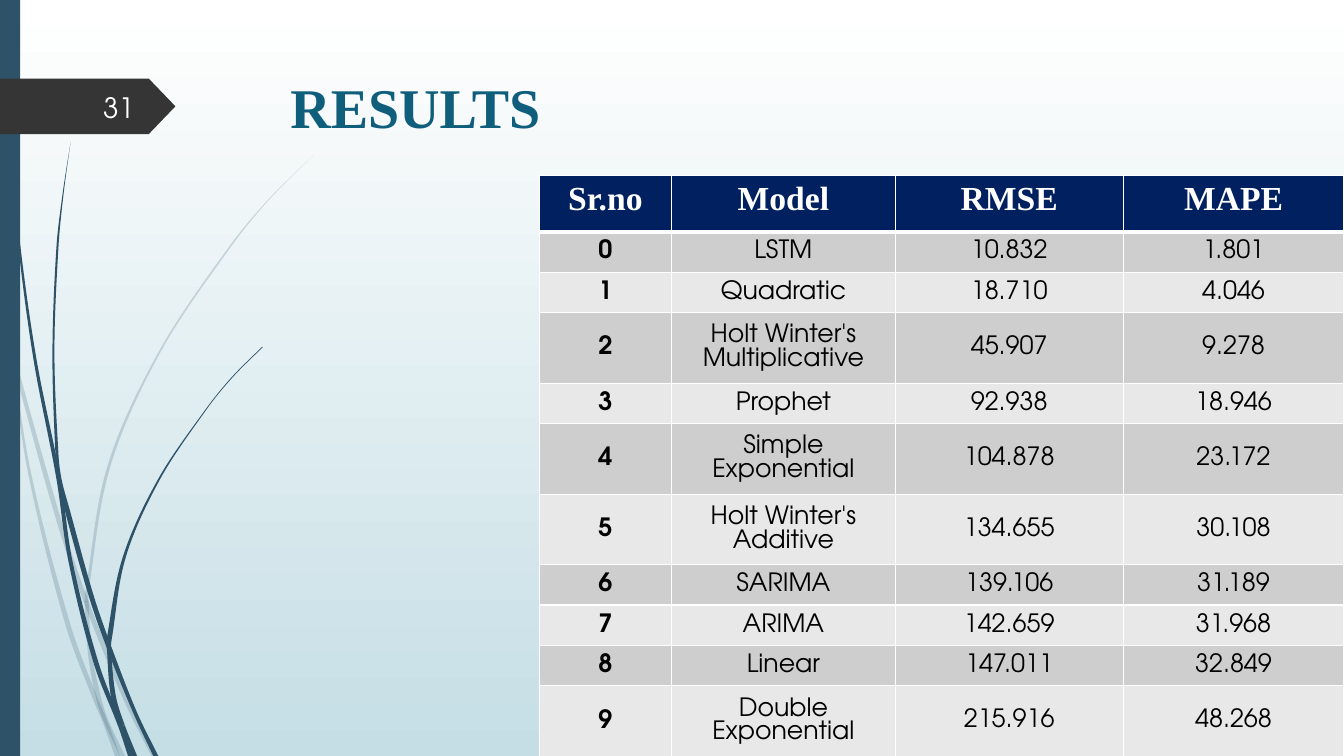
from lxml.etree import SubElement
from pptx import Presentation
from pptx.dml.color import RGBColor
from pptx.enum.shapes import MSO_SHAPE as Preset
from pptx.enum.text import MSO_ANCHOR as Anchor, PP_ALIGN as Align
from pptx.oxml import parse_xml
from pptx.oxml.ns import nsdecls, qn
from pptx.util import Inches, Pt

WIDTH, HEIGHT = 13.33, 7.5
SANS, SERIF = "TeX Gyre Adventor", "Times New Roman"
SLATE, CHARCOAL, TEAL, NAVY = "2E5369", "353535", "0F5E7C", "002060"
WHITE, BLACK = "FFFFFF", "000000"
BAND_FILLS = ["CECECE", "E8E8E8"]

HEADER = ("Sr.no", "Model", "RMSE", "MAPE")
RESULTS = [
    ("LSTM", "10.832", "1.801"),
    ("Quadratic", "18.710", "4.046"),
    ("Holt Winter's Multiplicative", "45.907", "9.278"),
    ("Prophet", "92.938", "18.946"),
    ("Simple Exponential", "104.878", "23.172"),
    ("Holt Winter's Additive", "134.655", "30.108"),
    ("SARIMA", "139.106", "31.189"),
    ("ARIMA", "142.659", "31.968"),
    ("Linear", "147.011", "32.849"),
    ("Double Exponential", "215.916", "48.268"),
]
COLUMN_WIDTHS = [1.31, 2.22, 2.26, 2.19]
HEADER_HEIGHT, SINGLE_HEIGHT, DOUBLE_HEIGHT = 0.56, 0.4, 0.7

# BLADE_KNOTS
PALE_BLADES = [
    [[(0, 0, 2.82), (0, 0.04, 2.99), (0.1, 0.12, 3.5)],
     [(0.28, 0.31, 4.7), (0.65, 0.7, 6.2), (0.92, 0.97, 6.93), (1.01, 1.06, 7.14)],
     [(1.14, 1.19, 7.5)]],
    [[(0.1, 0.14, 3.45), (0.17, 0.21, 3.76), (0.57, 0.62, 5.2), (0.83, 0.88, 5.97)],
     [(1.22, 1.27, 6.93), (1.5, 1.55, 7.5)]],
    [[(3.12, 3.12, 1.53), (2.67, 2.68, 1.97), (2.27, 2.29, 2.45), (1.58, 1.6, 3.48),
      (1.07, 1.1, 4.61), (0.85, 0.88, 5.85), (0.84, 0.88, 5.99)],
     [(0.87, 0.91, 6.46), (0.93, 0.98, 6.83), (1.01, 1.06, 7.11)],
     [(1.19, 1.24, 7.5)]],
]
DARK_BLADES = [
    [[(0.03, 0.04, 0), (0.07, 0.08, 1.1), (0.17, 0.19, 2.33), (0.33, 0.36, 3.55),
      (0.56, 0.6, 4.75)],
     [(0.68, 0.72, 5.57), (0.93, 0.98, 6.58), (1.17, 1.22, 7.2)],
     [(1.27, 1.35, 7.5)]],
    [[(0.7, 0.7, 1.41), (0.62, 0.63, 1.93), (0.56, 0.58, 2.45), (0.52, 0.54, 3.49),
      (0.55, 0.58, 4.51), (0.58, 0.61, 4.75)],
     [(0.64, 0.69, 5.05), (0.88, 0.93, 5.91), (1.06, 1.11, 6.43)],
     [(1.32, 1.36, 7.07), (1.52, 1.57, 7.5)]],
    [[(2.6, 2.61, 3.44), (2.3, 2.31, 3.74), (2.04, 2.05, 4.06), (1.57, 1.59, 4.75),
      (1.22, 1.25, 5.52), (1.06, 1.11, 6.33), (1.06, 1.1, 6.43)],
     [(1.1, 1.15, 6.91), (1.19, 1.24, 7.2)],
     [(1.3, 1.36, 7.5)]],
]


def color(value):
    return RGBColor.from_string(value)


def box(left, top, width, height):
    return [Inches(length) for length in (left, top, width, height)]


def paint(shape, value, opacity=None):
    shape.shadow.inherit = False
    shape.fill.solid()
    shape.fill.fore_color.rgb = color(value)
    shape.line.fill.background()
    if opacity is not None:
        fill = shape.fill._xPr.find(qn("a:solidFill"))
        SubElement(fill[0], qn("a:alpha"), val=str(opacity * 1000))


def write(frame, text, size, font, value, align, bold=False):
    frame.text = text
    paragraph = frame.paragraphs[0]
    paragraph.alignment = align
    paragraph.font.size = Pt(size)
    paragraph.font.name = font
    paragraph.font.bold = bold
    paragraph.font.color.rgb = color(value)


def edge_with_slopes(points):
    edge = []
    for index, (x, y) in enumerate(points):
        (x0, y0), (x1, y1) = points[max(index - 1, 0)], points[min(index + 1, len(points) - 1)]
        edge.append((x, y, (x1 - x0) / (y1 - y0)))
    return edge


def add_section(slide, left, right, opacity):
    outline = left + right[::-1]
    corners = [(Inches(x), Inches(y)) for x, y, _ in outline]
    builder = slide.shapes.build_freeform(*corners[0], scale=1.0)
    builder.add_line_segments(corners[1:], close=True)
    shape = builder.convert_to_shape()
    segments = list(shape._element.iter(qn("a:lnTo")))
    for index, segment in enumerate(segments[:len(outline) - 1]):
        if index == len(left) - 1:
            continue
        (x0, y0, slope0), (x1, y1, slope1) = outline[index:index + 2]
        third = (y1 - y0) / 3
        curve = SubElement(segment.getparent(), qn("a:cubicBezTo"))
        for x, y in ((x0 + slope0 * third, y0 + third), (x1 - slope1 * third, y1 - third), (x1, y1)):
            SubElement(curve, qn("a:pt"), x=str(Inches(x) - shape.left), y=str(Inches(y) - shape.top))
        segment.getparent().replace(segment, curve)
    paint(shape, SLATE, opacity)


def add_blade(slide, sections, opacity=None):
    knots = [knot for section in sections for knot in section]
    left = edge_with_slopes([(x, y) for x, _, y in knots])
    right = edge_with_slopes([(x, y) for _, x, y in knots])
    start, end = 0, 0
    for section in sections:
        end += len(section)
        add_section(slide, left[start:end], right[start:end], opacity)
        start = end - 1


def add_borders(cell, bottom):
    properties = cell._tc.get_or_add_tcPr()
    for index, side in enumerate("LRTB"):
        width = Pt(bottom if side == "B" else 1)
        properties.insert(index, parse_xml(
            f'<a:ln{side} {nsdecls("a")} w="{width}"><a:solidFill>'
            f'<a:srgbClr val="{WHITE}"/></a:solidFill></a:ln{side}>'))


def add_results(slide):
    rows = [HEADER] + [(str(number), *row) for number, row in enumerate(RESULTS)]
    heights = [HEADER_HEIGHT] + [
        DOUBLE_HEIGHT if " " in model else SINGLE_HEIGHT for model, _, _ in RESULTS]
    width, height = sum(COLUMN_WIDTHS), sum(heights)
    frame = slide.shapes.add_table(
        len(rows), len(HEADER), *box(WIDTH - width, HEIGHT - height, width, height))
    table = frame.table
    for column, column_width in zip(table.columns, COLUMN_WIDTHS):
        column.width = Inches(column_width)
    for row_index, (texts, row_height) in enumerate(zip(rows, heights)):
        table.rows[row_index].height = Inches(row_height)
        heading = row_index == 0
        for column_index, text in enumerate(texts):
            cell = table.cell(row_index, column_index)
            cell.fill.solid()
            if heading:
                cell.fill.fore_color.rgb = color(NAVY)
                write(cell.text_frame, text, 24, SERIF, WHITE, Align.CENTER, True)
            else:
                cell.fill.fore_color.rgb = color(BAND_FILLS[(row_index - 1) % 2])
                cell.vertical_anchor = Anchor.MIDDLE
                write(cell.text_frame, text, 18, SANS, BLACK, Align.CENTER, column_index == 0)
            add_borders(cell, 3 if heading else 1)


def main():
    presentation = Presentation()
    presentation.slide_width, presentation.slide_height = Inches(WIDTH), Inches(HEIGHT)
    slide = presentation.slides.add_slide(presentation.slide_layouts[5])
    background = slide.background.fill
    background.gradient()
    background.gradient_angle = 270
    for stop, position, value in zip(background.gradient_stops, (0, 1), (WHITE, "C5DEE5")):
        stop.position = position
        stop.color.rgb = color(value)

    for blades, opacity in ((PALE_BLADES, 20), (DARK_BLADES, None)):
        for blade in blades:
            add_blade(slide, blade, opacity)
    paint(slide.shapes.add_shape(Preset.RECTANGLE, *box(0, 0, 0.2, HEIGHT)), SLATE)
    tag = slide.shapes.add_shape(Preset.PENTAGON, *box(0, 0.78, 1.74, 0.55))
    tag.adjustments[0] = 0.48
    paint(tag, CHARCOAL)

    number = slide.shapes.add_textbox(*box(0.58, 0.86, 0.85, 0.4)).text_frame
    number.word_wrap = True
    number.vertical_anchor = Anchor.MIDDLE
    write(number, "31", 20, SANS, "FEFFFF", Align.RIGHT)

    title = slide.shapes.title
    title.left, title.top, title.width, title.height = box(2.78, 0.67, 6.67, 0.77)
    title.text_frame.vertical_anchor = Anchor.TOP
    write(title.text_frame, "RESULTS", 40, SERIF, TEAL, Align.LEFT, True)

    add_results(slide)
    presentation.save("out.pptx")


if __name__ == "__main__":
    main()
